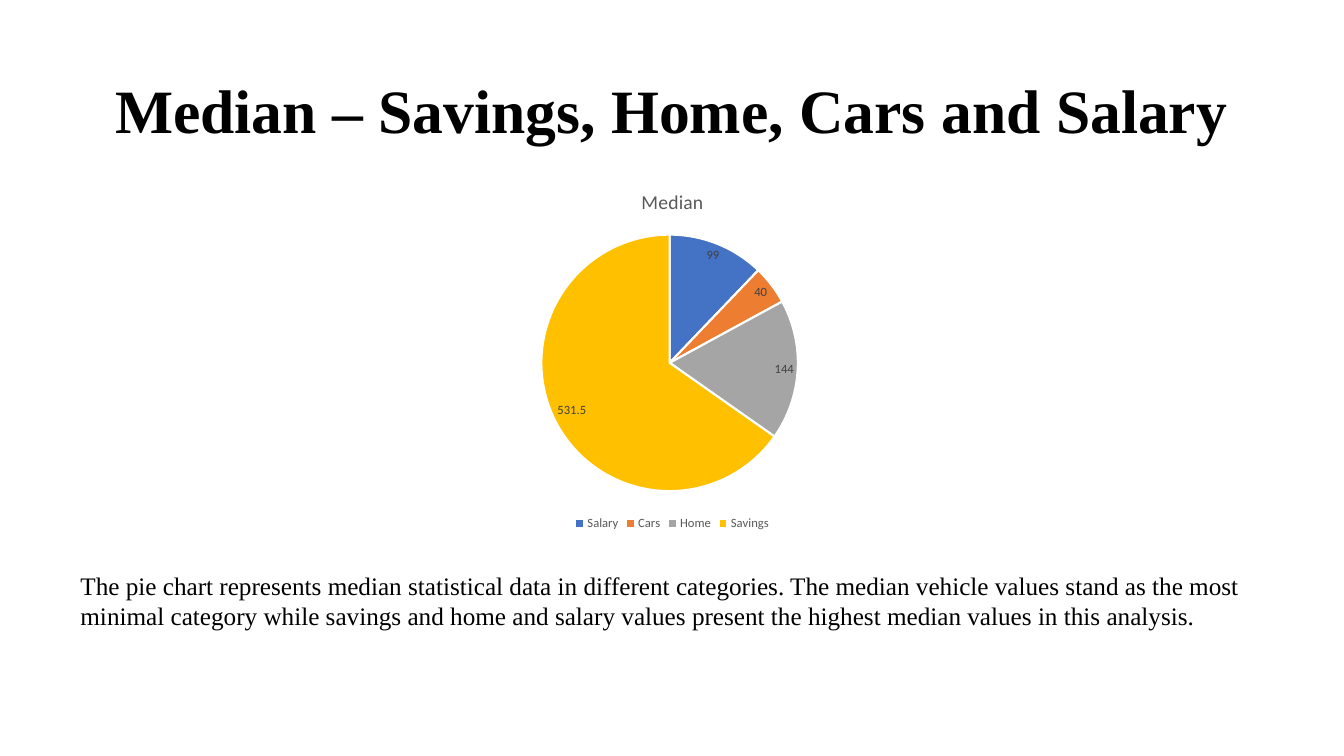
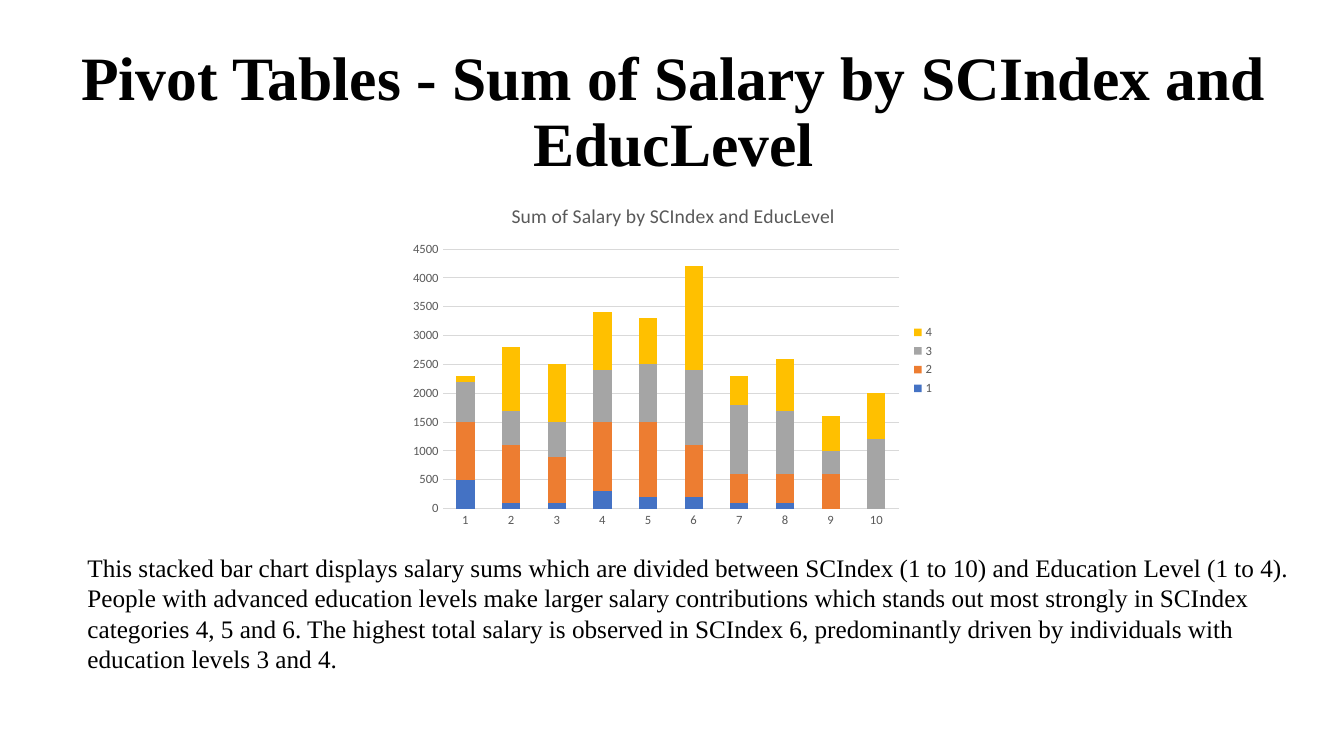
from dataclasses import dataclass

from pptx import Presentation
from pptx.chart.chart import Chart
from pptx.chart.data import CategoryChartData
from pptx.dml.color import RGBColor
from pptx.enum.chart import (
    XL_CHART_TYPE,
    XL_LABEL_POSITION,
    XL_LEGEND_POSITION,
    XL_TICK_MARK,
)
from pptx.enum.text import MSO_ANCHOR, MSO_AUTO_SIZE, PP_ALIGN
from pptx.slide import Slide
from pptx.text.text import Font
from pptx.util import Pt

PIE = XL_CHART_TYPE.PIE
STACKED = XL_CHART_TYPE.COLUMN_STACKED
LEGEND_BOTTOM = XL_LEGEND_POSITION.BOTTOM
LEGEND_RIGHT = XL_LEGEND_POSITION.RIGHT
BEST_FIT = XL_LABEL_POSITION.BEST_FIT
NO_TICK = XL_TICK_MARK.NONE
LEFT, CENTER = PP_ALIGN.LEFT, PP_ALIGN.CENTER
TOP, MIDDLE = MSO_ANCHOR.TOP, MSO_ANCHOR.MIDDLE
FIXED, GROW = MSO_AUTO_SIZE.NONE, MSO_AUTO_SIZE.SHAPE_TO_FIT_TEXT

COLORS = {
    "text": "000000",
    "chart_text": "595959",
    "label": "404040",
    "grid": "D9D9D9",
    "white": "FFFFFF",
    "blue": "4472C4",
    "orange": "ED7D31",
    "gray": "A5A5A5",
    "gold": "FFC000",
}
PALETTE = ("blue", "orange", "gray", "gold")
TEXT_FONT = "Times New Roman"
CHART_FONT = "Calibri"


@dataclass(frozen=True)
class Area:
    left: float
    top: float
    width: float
    height: float

    def lengths(self) -> tuple[Pt, Pt, Pt, Pt]:
        return Pt(self.left), Pt(self.top), Pt(self.width), Pt(self.height)


@dataclass(frozen=True)
class TextStyle:
    size: float
    bold: bool
    align: PP_ALIGN
    anchor: MSO_ANCHOR
    spacing: float
    auto_size: MSO_AUTO_SIZE


TITLE = TextStyle(44, True, CENTER, MIDDLE, 0.9, FIXED)
BODY = TextStyle(18, False, LEFT, TOP, 1.0, GROW)


@dataclass(frozen=True)
class ChartSpec:
    kind: XL_CHART_TYPE
    title: str
    legend: XL_LEGEND_POSITION
    categories: tuple[str, ...]
    series: dict[str, tuple[float | None, ...]]


@dataclass(frozen=True)
class PageSpec:
    title: str
    title_area: Area
    chart: ChartSpec
    chart_area: Area
    body: str
    body_area: Area


PAGES = (
    PageSpec(
        "Median – Savings, Home, Cars and Salary",
        Area(66, 28.8, 828, 104.4),
        ChartSpec(
            PIE,
            "Median",
            LEGEND_BOTTOM,
            ("Salary", "Cars", "Home", "Savings"),
            {"Median": (99, 40, 144, 531.5)},
        ),
        Area(275.8, 123, 409, 259.2),
        "The pie chart represents median statistical data in different categories. "
        "The median vehicle values stand as the most minimal category while savings "
        "and home and salary values present the highest median values in this analysis.",
        Area(50.4, 404, 859, 51),
    ),
    PageSpec(
        "Pivot Tables - Sum of Salary by SCIndex and EducLevel",
        Area(13, 28.8, 936.7, 104.4),
        ChartSpec(
            STACKED,
            "Sum of Salary by SCIndex and EducLevel",
            LEGEND_RIGHT,
            tuple(str(index) for index in range(1, 11)),
            {
                "1": (500, 100, 100, 300, 200, 200, 100, 100, None, None),
                "2": (1000, 1000, 800, 1200, 1300, 900, 500, 500, 600, None),
                "3": (700, 600, 600, 900, 1000, 1300, 1200, 1100, 400, 1200),
                "4": (100, 1100, 1000, 1000, 800, 1800, 500, 900, 600, 800),
            },
        ),
        Area(287.3, 133.2, 387.4, 248.4),
        "This stacked bar chart displays salary sums which are divided between SCIndex "
        "(1 to 10) and Education Level (1 to 4). People with advanced education levels "
        "make larger salary contributions which stands out most strongly in SCIndex "
        "categories 4, 5 and 6. The highest total salary is observed in SCIndex 6, "
        "predominantly driven by individuals with education levels 3 and 4.",
        Area(55.4, 391, 874.8, 94.3),
    ),
)


def rgb(name: str) -> RGBColor:
    return RGBColor.from_string(COLORS[name])


def style_font(font: Font, face: str, size: float, color: str, bold: bool = False) -> None:
    font.name = face
    font.size = Pt(size)
    font.bold = bold
    font.color.rgb = rgb(color)


def add_text(page: Slide, area: Area, text: str, style: TextStyle) -> None:
    frame = page.shapes.add_textbox(*area.lengths()).text_frame
    frame.word_wrap = True
    frame.auto_size = style.auto_size
    frame.vertical_anchor = style.anchor
    para = frame.paragraphs[0]
    para.alignment = style.align
    para.line_spacing = style.spacing
    span = para.add_run()
    span.text = text
    style_font(span.font, TEXT_FONT, style.size, "text", style.bold)


def style_pie(chart: Chart) -> None:
    plot = chart.plots[0]
    plot.vary_by_categories = True
    for index, color in enumerate(PALETTE):
        point = plot.series[0].points[index].format
        point.fill.solid()
        point.fill.fore_color.rgb = rgb(color)
        point.line.color.rgb = rgb("white")
        point.line.width = Pt(1.5)
    plot.has_data_labels = True
    labels = plot.data_labels
    labels.show_value = True
    labels.show_percentage = False
    labels.position = BEST_FIT
    style_font(labels.font, CHART_FONT, 9, "label")


def style_columns(chart: Chart) -> None:
    plot = chart.plots[0]
    plot.vary_by_categories = False
    plot.gap_width = 150
    plot.overlap = 100
    for series, color in zip(plot.series, PALETTE):
        series.format.fill.solid()
        series.format.fill.fore_color.rgb = rgb(color)
    for axis in (chart.category_axis, chart.value_axis):
        axis.major_tick_mark = NO_TICK
        axis.minor_tick_mark = NO_TICK
        axis.format.line.fill.background()
        style_font(axis.tick_labels.font, CHART_FONT, 9, "chart_text")
    scale = chart.value_axis
    scale.minimum_scale, scale.maximum_scale, scale.major_unit = 0, 4500, 500
    grid = scale.major_gridlines.format.line
    grid.color.rgb = rgb("grid")
    grid.width = Pt(0.75)


def add_chart(page: Slide, area: Area, content: ChartSpec) -> None:
    data = CategoryChartData()
    data.categories = content.categories
    for name, values in content.series.items():
        data.add_series(name, values)
    chart = page.shapes.add_chart(content.kind, *area.lengths(), data).chart
    style_font(chart.font, CHART_FONT, 10, "text")

    chart.has_title = True
    span = chart.chart_title.text_frame.paragraphs[0].add_run()
    span.text = content.title
    style_font(span.font, CHART_FONT, 14, "chart_text")
    chart.chart_title.include_in_layout = False

    chart.has_legend = True
    chart.legend.position = content.legend
    chart.legend.include_in_layout = False
    style_font(chart.legend.font, CHART_FONT, 9, "chart_text")

    if content.kind == PIE:
        style_pie(chart)
    else:
        style_columns(chart)


def main() -> None:
    deck = Presentation()
    deck.slide_width, deck.slide_height = Pt(960), Pt(540)
    blank = deck.slide_layouts[6]
    for content in PAGES:
        page = deck.slides.add_slide(blank)
        add_text(page, content.title_area, content.title, TITLE)
        add_chart(page, content.chart_area, content.chart)
        add_text(page, content.body_area, content.body, BODY)
    deck.save("out.pptx")


if __name__ == "__main__":
    main()
